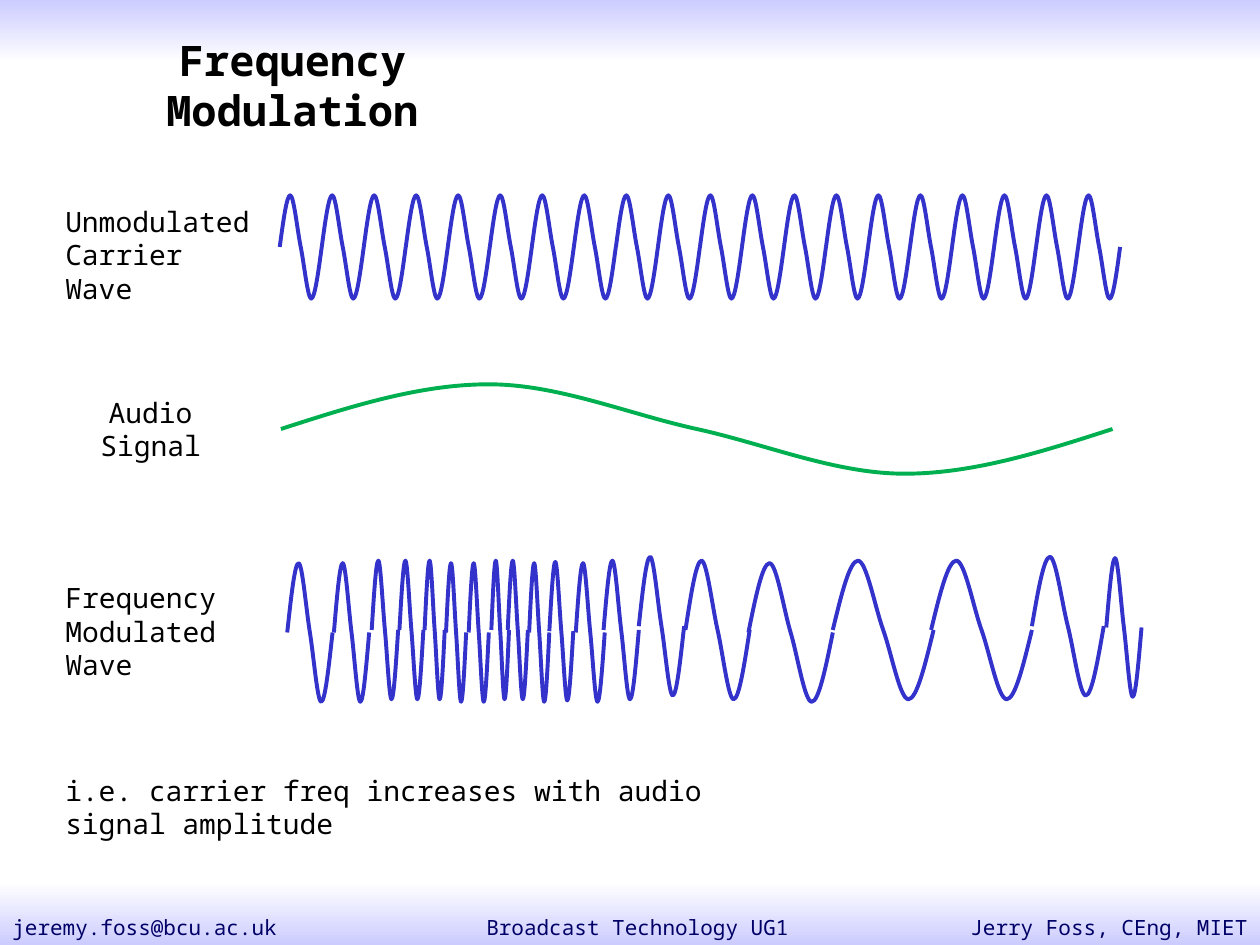
import pptx
import pptx.dml.color
import pptx.enum.shapes
import pptx.enum.text
import pptx.oxml.ns
import pptx.util
from pptx.util import Inches

FONT = "Noto Sans Mono"
COLORS = {
    "band": "CCCCFF",
    "background": "FFFFFF",
    "footer": "000066",
    "text": "000000",
    "carrier": "3333CC",
    "audio": "00B050",
}
ALIGN = pptx.enum.text.PP_ALIGN
ANCHOR = pptx.enum.text.MSO_ANCHOR

SLIDE_WIDTH, SLIDE_HEIGHT = 10, 7.5
BAND_HEIGHT = 0.5
LABEL_LEFT = 0.42

# Depth of the Bezier points of one cycle, as a share of its height.
# The points are equally spaced across the width: a start, then three per segment.
CYCLE_DEPTHS = [
    0.5,
    0.25, 0, 0,      # rise to the crest
    0, 0.33, 0.5,    # fall to the middle
    0.67, 1, 1,      # fall to the trough
    1, 0.75, 0.5,    # rise to the middle
]
POINTS_PER_CURVE = 3

CARRIER_CYCLE_COUNT = 20
CARRIER_LEFT, CARRIER_TOP = 2.22, 1.55
CARRIER_WIDTH, CARRIER_HEIGHT = 6.67, 0.82

# Left, top and width of each cycle: narrow where the audio is high, wide where it is low
MODULATED_HEIGHT = 1.1
MODULATED_CYCLES = [
    (2.28, 4.47, 0.36), (2.65, 4.47, 0.28), (2.95, 4.45, 0.21), (3.17, 4.45, 0.19),
    (3.37, 4.45, 0.16), (3.54, 4.47, 0.16), (3.72, 4.47, 0.16), (3.9, 4.45, 0.14),
    (4.03, 4.45, 0.16), (4.2, 4.47, 0.16), (4.36, 4.46, 0.19), (4.57, 4.47, 0.23),
    (4.79, 4.45, 0.28), (5.07, 4.42, 0.36), (5.44, 4.45, 0.51), (5.94, 4.47, 0.67),
    (6.61, 4.45, 0.8), (7.39, 4.45, 0.8), (8.19, 4.42, 0.57), (8.78, 4.43, 0.28),
]


def rgb(name):
    return pptx.dml.color.RGBColor.from_string(COLORS[name])


def write(shape, text, size, color="text", align=ALIGN.LEFT, anchor=ANCHOR.MIDDLE, bold=False):
    """Fill a text shape, one paragraph for each line of text."""
    frame = shape.text_frame
    frame.text = text
    frame.word_wrap = True
    frame.auto_size = pptx.enum.text.MSO_AUTO_SIZE.NONE
    frame.vertical_anchor = anchor
    for paragraph in frame.paragraphs:
        paragraph.alignment = align
        paragraph.font.name = FONT
        paragraph.font.size = pptx.util.Pt(size)
        paragraph.font.bold = bold
        paragraph.font.color.rgb = rgb(color)


def add_text(slide, box, text, size=16, **style):
    shape = slide.shapes.add_textbox(*map(Inches, box))
    write(shape, text, size, **style)


def add_title(slide, box, text):
    title = slide.shapes.title
    title.left, title.top, title.width, title.height = map(Inches, box)
    write(title, text, 24, align=ALIGN.CENTER, bold=True)
    # Bring the title in front of the top band
    title.element.getparent().append(title.element)


def add_band(slide, top, top_color, bottom_color):
    """Add a full-width band that fades from one colour down to another."""
    band = slide.shapes.add_shape(
        pptx.enum.shapes.MSO_SHAPE.RECTANGLE,
        0, Inches(top), Inches(SLIDE_WIDTH), Inches(BAND_HEIGHT))
    band.shadow.inherit = False
    band.line.fill.background()
    band.fill.gradient()
    band.fill.gradient_angle = 270
    for stop, color in zip(band.fill.gradient_stops, (top_color, bottom_color)):
        stop.color.rgb = rgb(color)


def add_footer(slide, top):
    side_width = 3.17
    for left, width, text, align in [
        (2.66, 4.8, "Broadcast Technology UG1", ALIGN.CENTER),
        (0, side_width, "jeremy.foss@bcu.ac.uk", ALIGN.LEFT),
        (SLIDE_WIDTH - side_width, side_width, "Jerry Foss, CEng, MIET", ALIGN.RIGHT),
    ]:
        add_text(slide, (left, top, width, 0.29), text, 12,
                 color="footer", align=align, anchor=ANCHOR.TOP)


def bend_segments(shape):
    """Turn each three straight segments of a freeform into one Bezier curve."""
    qn = pptx.oxml.ns.qn
    outline = shape.element.find(".//" + qn("a:path"))
    segments = outline.findall(qn("a:lnTo"))
    for first in range(0, len(segments), POINTS_PER_CURVE):
        curve = outline.makeelement(qn("a:cubicBezTo"), {})
        outline.append(curve)
        for segment in segments[first:first + POINTS_PER_CURVE]:
            curve.append(segment[0])
            outline.remove(segment)


def add_cycle(shapes, box, color):
    """Draw one smooth wave cycle that fills the box."""
    left, top, width, height = box
    step = width / (len(CYCLE_DEPTHS) - 1)
    start, *others = [
        (Inches(left + step * index), Inches(top + height * depth))
        for index, depth in enumerate(CYCLE_DEPTHS)
    ]
    builder = shapes.build_freeform(*start)
    builder.add_line_segments(others, close=False)
    cycle = builder.convert_to_shape()
    cycle.shadow.inherit = False
    cycle.fill.background()
    cycle.line.color.rgb = rgb(color)
    cycle.line.width = pptx.util.Pt(2.25)
    bend_segments(cycle)


def add_wave(slide, boxes, color):
    """Draw a group with one cycle in each box."""
    group = slide.shapes.add_group_shape()
    for box in boxes:
        add_cycle(group.shapes, box, color)


def add_carrier_wave(slide):
    period = CARRIER_WIDTH / CARRIER_CYCLE_COUNT
    boxes = [(CARRIER_LEFT + period * index, CARRIER_TOP, period, CARRIER_HEIGHT)
             for index in range(CARRIER_CYCLE_COUNT)]
    add_wave(slide, boxes, "carrier")


def add_modulated_wave(slide):
    boxes = [(*cycle, MODULATED_HEIGHT) for cycle in MODULATED_CYCLES]
    add_wave(slide, boxes, "carrier")


def main():
    presentation = pptx.Presentation()
    presentation.slide_width = Inches(SLIDE_WIDTH)
    presentation.slide_height = Inches(SLIDE_HEIGHT)
    title_only = presentation.slide_layouts[5]
    slide = presentation.slides.add_slide(title_only)

    add_band(slide, 0, "band", "background")
    add_band(slide, SLIDE_HEIGHT - BAND_HEIGHT, "background", "band")
    add_footer(slide, 7.21)
    add_title(slide, (0.43, 0.42, 3.78, 0.5), "Frequency Modulation")

    add_text(slide, (LABEL_LEFT, 1.7, 1.67, 0.64), "Unmodulated\nCarrier Wave")
    add_carrier_wave(slide)

    add_text(slide, (LABEL_LEFT, 3.22, 1.55, 0.37), "Audio Signal", align=ALIGN.CENTER)
    add_cycle(slide.shapes, (2.23, 3.05, 6.6, 0.71), "audio")

    add_text(slide, (LABEL_LEFT, 4.56, 1.62, 0.9), "Frequency Modulated Wave")
    add_modulated_wave(slide)

    add_text(slide, (LABEL_LEFT, 6.22, 6, 0.37),
             "i.e. carrier freq increases with audio signal amplitude")
    presentation.save("out.pptx")


if __name__ == "__main__":
    main()
